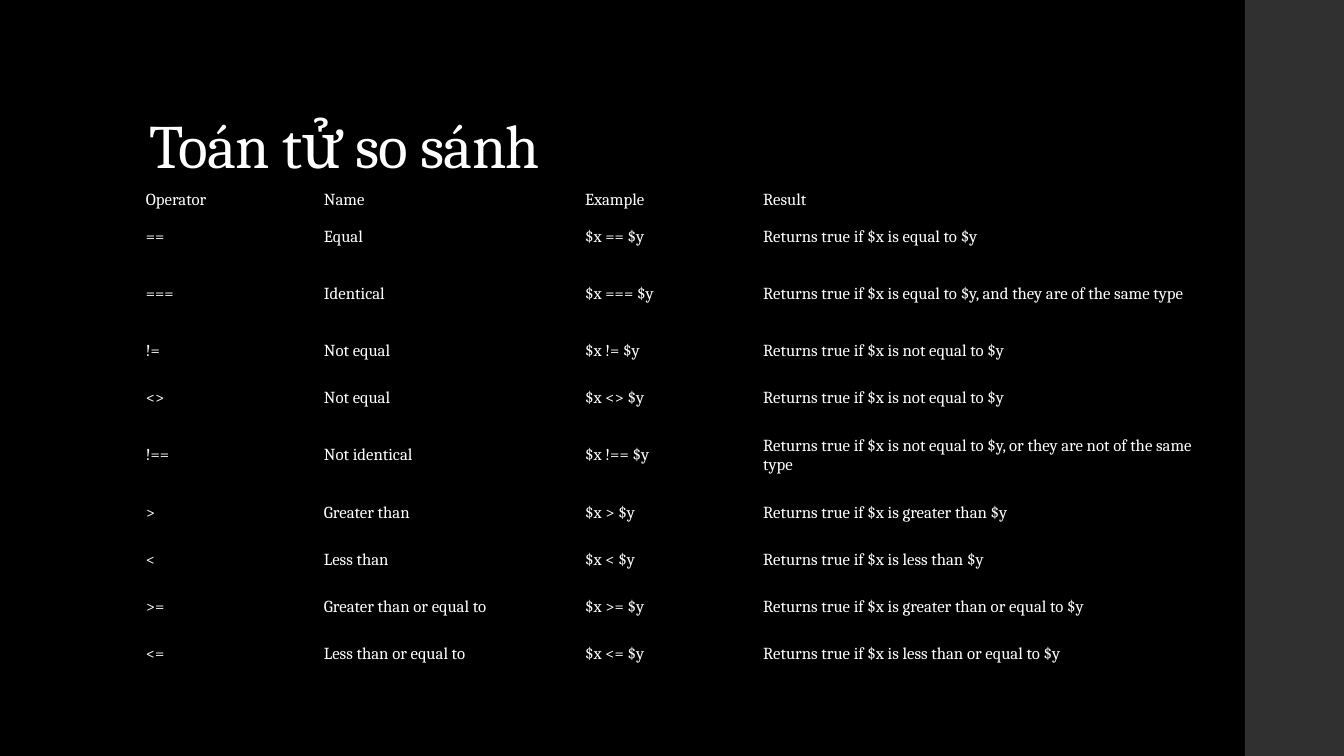
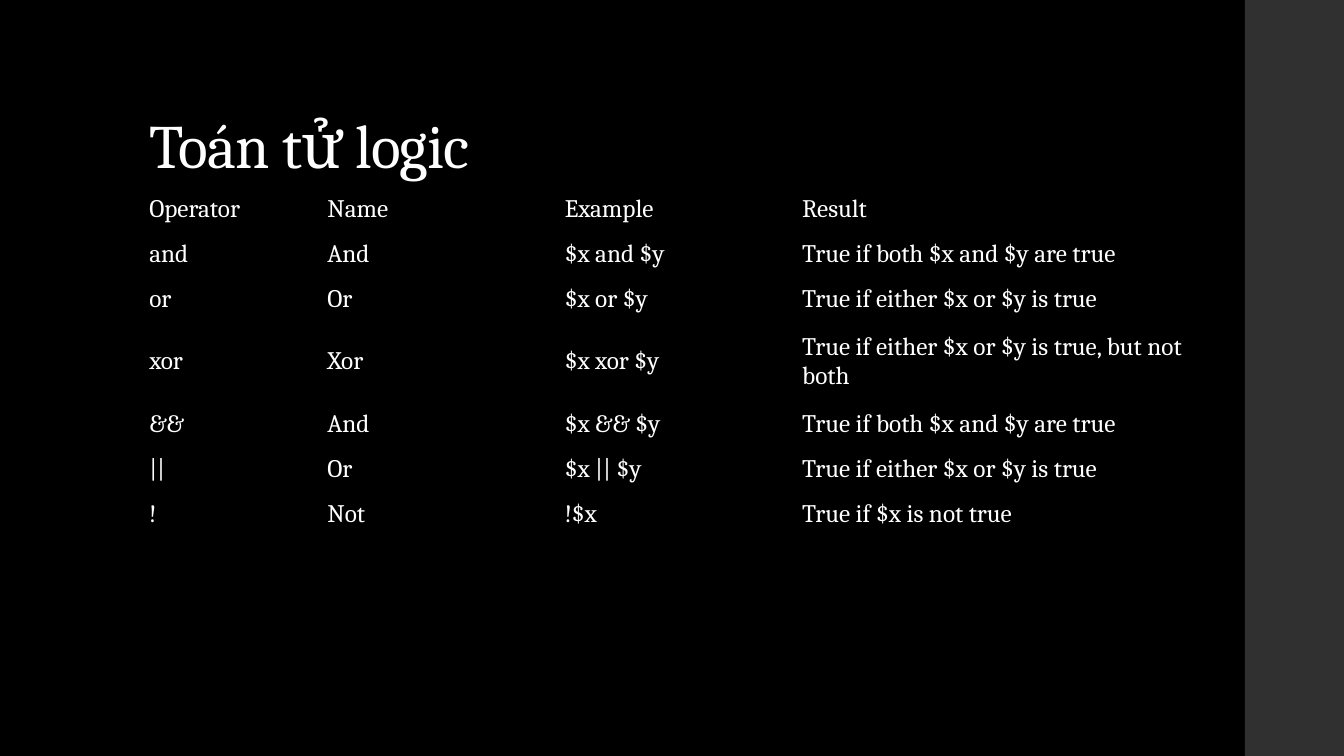
import pptx
import pptx.dml.color
import pptx.enum.shapes
import pptx.enum.text
import pptx.oxml.ns
import pptx.util

Pt = pptx.util.Pt
Anchor = pptx.enum.text.MSO_ANCHOR
PLAIN_TABLE_STYLE = "{2D5ABB26-0587-4C30-8999-92F81FD0307C}"

HEADINGS = ("Operator", "Name", "Example", "Result")
COMPARISONS = [
    HEADINGS,
    ("==", "Equal", "$x == $y", "Returns true if $x is equal to $y"),
    ("===", "Identical", "$x === $y",
     "Returns true if $x is equal to $y, and they are of the same type"),
    ("!=", "Not equal", "$x != $y", "Returns true if $x is not equal to $y"),
    ("<>", "Not equal", "$x <> $y", "Returns true if $x is not equal to $y"),
    ("!==", "Not identical", "$x !== $y",
     "Returns true if $x is not equal to $y, or they are not of the same type"),
    (">", "Greater than", "$x > $y", "Returns true if $x is greater than $y"),
    ("<", "Less than", "$x < $y", "Returns true if $x is less than $y"),
    (">=", "Greater than or equal to", "$x >= $y",
     "Returns true if $x is greater than or equal to $y"),
    ("<=", "Less than or equal to", "$x <= $y",
     "Returns true if $x is less than or equal to $y"),
]
LOGIC = [
    HEADINGS,
    ("and", "And", "$x and $y", "True if both $x and $y are true"),
    ("or", "Or", "$x or $y", "True if either $x or $y is true"),
    ("xor", "Xor", "$x xor $y", "True if either $x or $y is true, but not both"),
    ("&&", "And", "$x && $y", "True if both $x and $y are true"),
    ("||", "Or", "$x || $y", "True if either $x or $y is true"),
    ("!", "Not", "!$x", "True if $x is not true"),
]


def color(value):
    return pptx.dml.color.RGBColor.from_string(value)


class Deck:
    """Holds the shared style and the slide being built."""

    FONT = "Cambria"
    INK, BACKGROUND, BAND = "FFFFFF", "000000", "303030"
    WIDTH, HEIGHT = 960, 540
    BAND_LEFT = 889.2
    LEFT, CONTENT_WIDTH = 99.4, 763.2
    TITLE_TOP, TABLE_TOP = 28.8, 133.2

    def __init__(self):
        self.deck = pptx.Presentation()
        self.deck.slide_width = Pt(self.WIDTH)
        self.deck.slide_height = Pt(self.HEIGHT)
        self.page = None

    def add_page(self, title):
        self.page = self.deck.slides.add_slide(self.deck.slide_layouts[6])
        fill = self.page.background.fill
        fill.solid()
        fill.fore_color.rgb = color(self.BACKGROUND)
        self.add_band()
        self.add_title(title)

    def add_band(self):
        band = self.page.shapes.add_shape(
            pptx.enum.shapes.MSO_SHAPE.RECTANGLE, Pt(self.BAND_LEFT), 0,
            Pt(self.WIDTH - self.BAND_LEFT), Pt(self.HEIGHT))
        band.shadow.inherit = False
        band.fill.solid()
        band.fill.fore_color.rgb = color(self.BAND)
        band.line.fill.background()

    def add_span(self, para, text, size):
        span = para.add_run()
        span.text = text
        span.font.name = self.FONT
        span.font.size = Pt(size)
        span.font.color.rgb = color(self.INK)
        return span

    def add_title(self, text):
        box = self.page.shapes.add_textbox(
            Pt(self.LEFT), Pt(self.TITLE_TOP), Pt(self.CONTENT_WIDTH),
            Pt(self.TABLE_TOP - self.TITLE_TOP))
        frame = box.text_frame
        frame.word_wrap = True
        frame.vertical_anchor = Anchor.BOTTOM
        para = frame.paragraphs[0]
        para.line_spacing = 0.9
        span = self.add_span(para, text, 44)
        span._r.get_or_add_rPr().set("spc", "-50")

    def add_table(self, records, widths, heights, size, margins):
        """Margins are the horizontal and the vertical cell inset."""
        table = self.page.shapes.add_table(
            len(records), len(widths), Pt(self.LEFT), Pt(self.TABLE_TOP),
            Pt(sum(widths)), Pt(sum(heights))).table
        table.first_row = table.horz_banding = False
        style = table._tbl.tblPr.find(pptx.oxml.ns.qn("a:tableStyleId"))
        style.text = PLAIN_TABLE_STYLE
        for column, width in zip(table.columns, widths):
            column.width = Pt(width)
        for row, height, record in zip(table.rows, heights, records):
            row.height = Pt(height)
            for cell, text in zip(row.cells, record):
                cell.fill.background()
                cell.vertical_anchor = Anchor.MIDDLE
                cell.margin_left = cell.margin_right = Pt(margins[0])
                cell.margin_top = cell.margin_bottom = Pt(margins[1])
                self.add_span(cell.text_frame.paragraphs[0], text, size)

    def save(self):
        self.deck.save("out.pptx")


def main():
    deck = Deck()

    deck.add_page("Toán tử so sánh")
    single, double = 33.6, 48
    heights = [19.4, single, double, single, single, double] + [single] * 4
    deck.add_table(COMPARISONS, [127.2, 186.6, 127.2, 322.2], heights,
                   size=12, margins=(4.8, 2.4))

    deck.add_page("Toán tử logic")
    single, double = 32.2, 57
    heights = [single] * 3 + [double] + [single] * 3
    deck.add_table(LOGIC, [127.2, 169.6, 169.6, 296.8], heights,
                   size=18, margins=(7.2, 3.6))

    deck.save()


if __name__ == "__main__":
    main()
